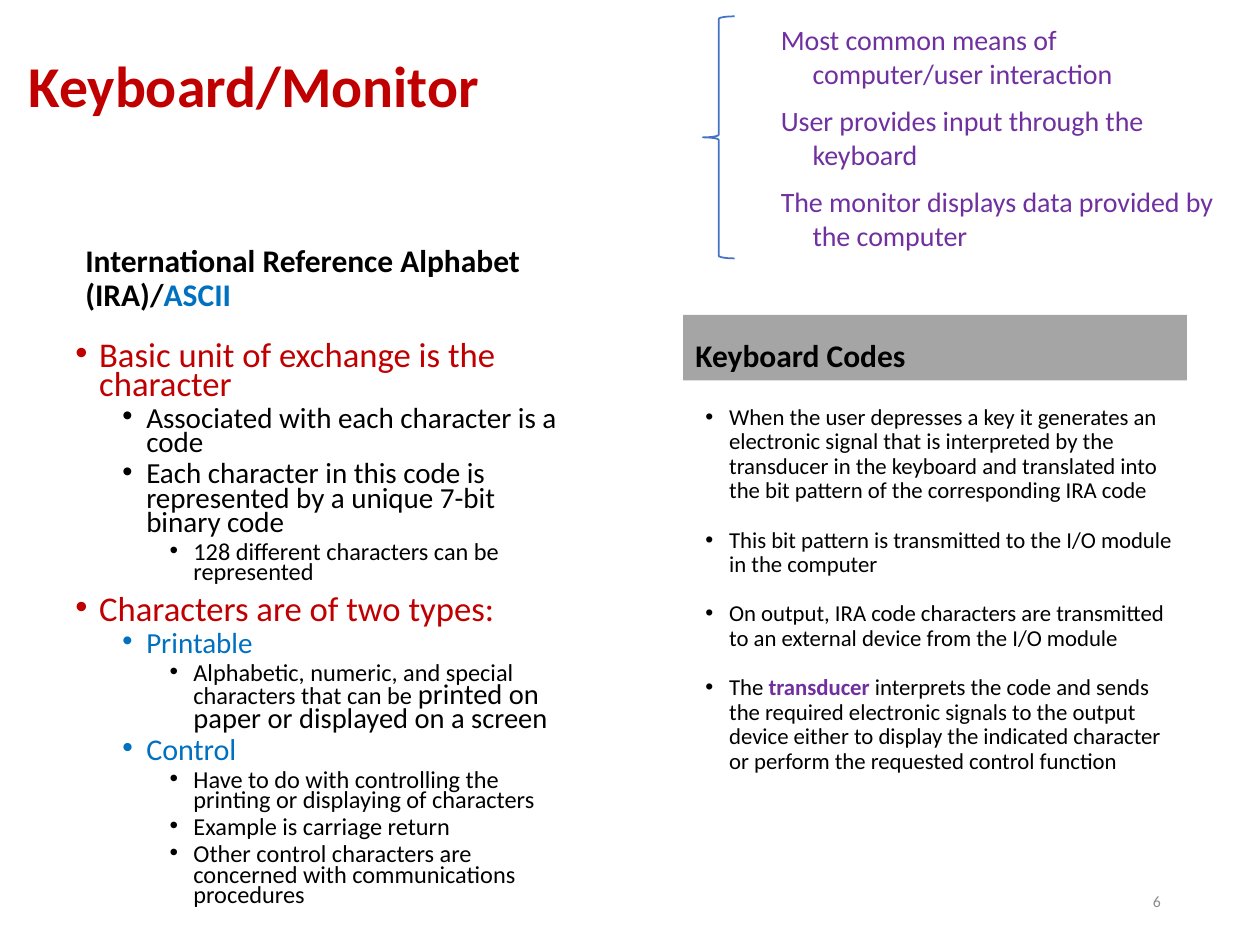
from dataclasses import dataclass

from lxml import etree
from pptx import Presentation
from pptx.dml.color import RGBColor
from pptx.enum.shapes import MSO_SHAPE
from pptx.enum.text import MSO_ANCHOR, PP_ALIGN
from pptx.oxml.ns import qn
from pptx.shapes.autoshape import Shape
from pptx.slide import Slide
from pptx.util import Cm, Pt

RECT, BRACE = MSO_SHAPE.RECTANGLE, MSO_SHAPE.LEFT_BRACE
TOP, MIDDLE, BOTTOM = MSO_ANCHOR.TOP, MSO_ANCHOR.MIDDLE, MSO_ANCHOR.BOTTOM
LEFT, RIGHT = PP_ALIGN.LEFT, PP_ALIGN.RIGHT

FACE = "Calibri"
HANG = 0.48
STEP = 0.95
COLORS = {
    "black": "000000",
    "red": "C00000",
    "blue": "0070C0",
    "purple": "7030A0",
    "band": "A5A5A5",
    "gray": "8C8C8C",
    "line": "4472C4",
}


@dataclass
class Run:
    text: str
    color: str = ""
    size: float = 0
    bold: bool = False


@dataclass
class Para:
    runs: list[Run]
    size: float
    color: str = "black"
    bold: bool = False
    space: float = 0
    lines: float = 1
    margin: float = 0
    hang: float = 0
    bullet: bool = False
    align: PP_ALIGN = LEFT


@dataclass
class Box:
    left: float
    top: float
    width: float
    height: float
    paras: list[Para]
    anchor: MSO_ANCHOR = TOP
    fill: str = ""


def rgb(name: str) -> RGBColor:
    return RGBColor.from_string(COLORS[name])


def item(level: int, size: float, *runs: Run, color: str = "black") -> Para:
    return Para(list(runs), size, color, space=3.8 if level else 7.5, lines=0.7,
                margin=HANG + STEP * level, hang=HANG, bullet=True)


def point(*runs: Run) -> Para:
    return Para(list(runs), 13, space=14, lines=0.9, margin=HANG, hang=HANG, bullet=True)


def usage(text: str) -> Para:
    return Para([Run(text)], 16, "purple", space=8, margin=0.64, hang=0.64)


def heading(*runs: Run) -> Para:
    return Para(list(runs), 18, bold=True, space=7.5, lines=0.9)


def write(shape: Shape, box: Box) -> None:
    frame = shape.text_frame
    frame.word_wrap = True
    frame.vertical_anchor = box.anchor
    for spot, para in enumerate(box.paras):
        line = frame.add_paragraph() if spot else frame.paragraphs[0]
        props = line._p.get_or_add_pPr()
        props.set("marL", str(Cm(para.margin)))
        props.set("indent", str(-Cm(para.hang)))
        if para.bullet:
            etree.SubElement(props, qn("a:buFont")).set("typeface", "Arial")
            etree.SubElement(props, qn("a:buChar")).set("char", "•")
        line.alignment = para.align
        line.line_spacing = para.lines
        line.space_before = Pt(para.space)
        font = line.font
        font.name, font.size, font.bold = FACE, Pt(para.size), para.bold
        font.color.rgb = rgb(para.color)
        for part in para.runs:
            run = line.add_run()
            run.text = part.text
            if part.color:
                run.font.color.rgb = rgb(part.color)
            if part.size:
                run.font.size = Pt(part.size)
            if part.bold:
                run.font.bold = True


def draw(slide: Slide, box: Box) -> None:
    place = Cm(box.left), Cm(box.top), Cm(box.width), Cm(box.height)
    if box.fill:
        shape = slide.shapes.add_shape(RECT, *place)
        shape.shadow.inherit = False
        shape.fill.solid()
        shape.fill.fore_color.rgb = rgb(box.fill)
        shape.line.fill.background()
    else:
        shape = slide.shapes.add_textbox(*place)
    write(shape, box)


def brace(slide: Slide) -> None:
    shape = slide.shapes.add_shape(BRACE, Cm(14.17), Cm(0.33), Cm(0.64), Cm(4.88))
    shape.shadow.inherit = False
    shape.fill.background()
    shape.line.color.rgb = rgb("line")
    shape.line.width = Pt(1)


BOXES = [
    Box(0.33, 0.38, 13.46, 2.82,
        [Para([Run("Keyboard/Monitor")], 33, "red", True, lines=0.9)], MIDDLE),
    Box(1.47, 4.24, 10.16, 2.21,
        [heading(Run("International Reference Alphabet (IRA)/"), Run("ASCII", "blue"))], BOTTOM),
    Box(1.27, 6.81, 10.46, 12.24, [
        item(0, 19.8, Run("Basic unit of exchange is the character"), color="red"),
        item(1, 16.6, Run("Associated with each character is a code")),
        item(1, 16.6, Run("Each character in this code is represented by a unique 7-bit binary code")),
        item(2, 13.9, Run("128 different characters can be represented")),
        item(0, 19.8, Run("Characters are of two types:"), color="red"),
        item(1, 16.6, Run("Printable"), color="blue"),
        item(2, 13.9, Run("Alphabetic, numeric, and special characters that can be "),
             Run("printed on paper or displayed on a screen", size=16.3)),
        item(1, 17.2, Run("Control"), color="blue"),
        item(2, 13.9, Run("Have to do with controlling the printing or displaying of characters")),
        item(2, 13.9, Run("Example is carriage return")),
        item(2, 13.9, Run("Other control characters are concerned with communications procedures")),
    ]),
    Box(13.77, 6.35, 10.16, 1.32, [heading(Run("Keyboard Codes"))], BOTTOM, "band"),
    Box(13.97, 8.05, 9.96, 10.16, [
        point(Run("When the user depresses a key it generates an electronic signal that is "
                  "interpreted by the transducer in the keyboard and translated into the bit "
                  "pattern of the corresponding IRA code")),
        point(Run("This bit pattern is transmitted to the I/O module in the computer")),
        point(Run("On output, IRA code characters are transmitted to an external device from "
                  "the I/O module")),
        point(Run("The "), Run("transducer", "purple", bold=True),
              Run(" interprets the code and sends the required electronic signals to the output "
                  "device either to display the indicated character or perform the requested "
                  "control function")),
    ]),
    Box(17.93, 17.65, 5.72, 1.02, [Para([Run("6")], 9, "gray", align=RIGHT)], MIDDLE),
    Box(15.49, 0.33, 9.32, 5.69, [
        usage("Most common means of computer/user interaction"),
        usage("User provides input through the keyboard"),
        usage("The monitor displays data provided by the computer"),
    ]),
]


def main() -> None:
    deck = Presentation()
    deck.slide_width, deck.slide_height = Cm(25.4), Cm(19.05)
    slide = deck.slides.add_slide(deck.slide_layouts[6])
    for box in BOXES:
        draw(slide, box)
    brace(slide)
    deck.save("out.pptx")


if __name__ == "__main__":
    main()
